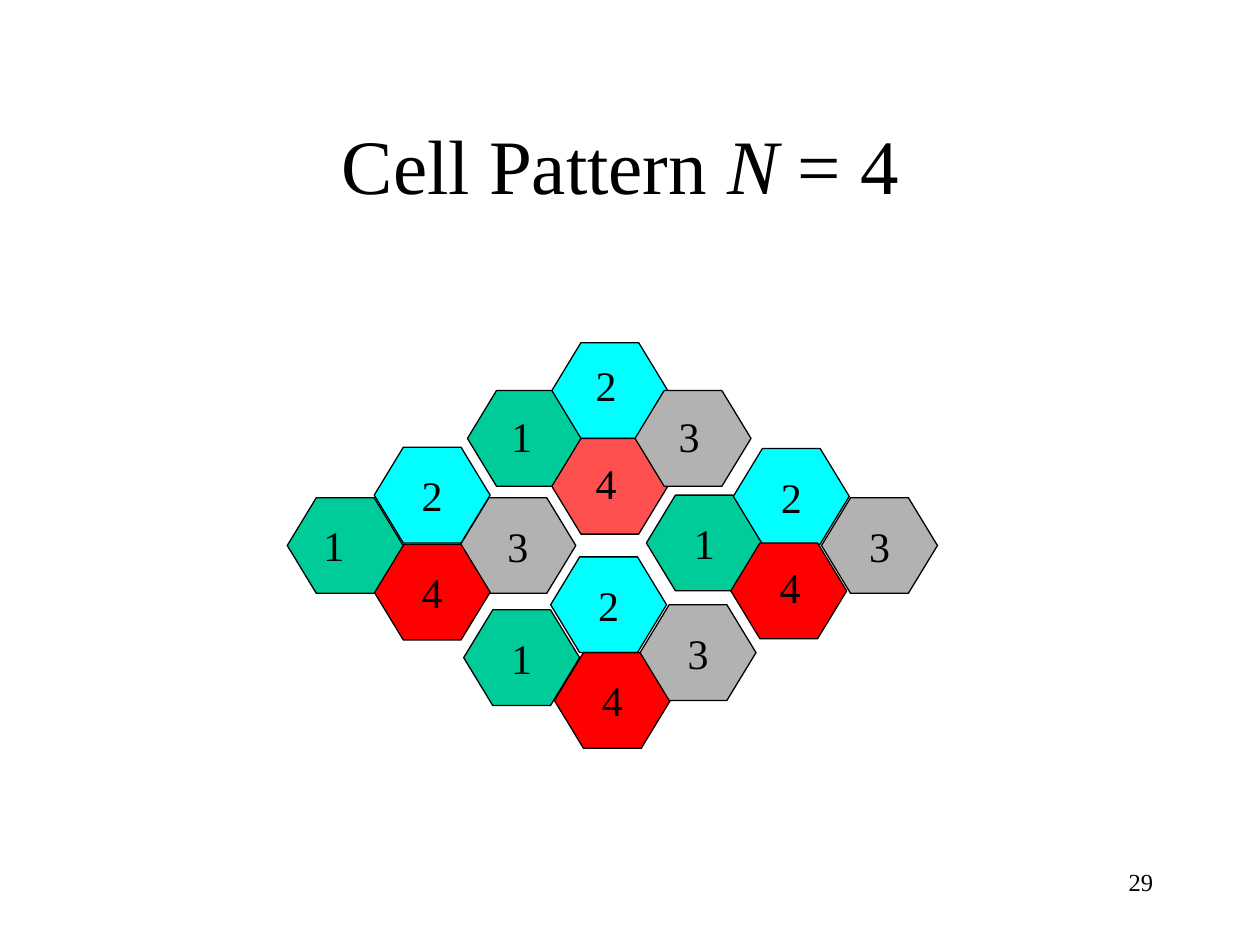
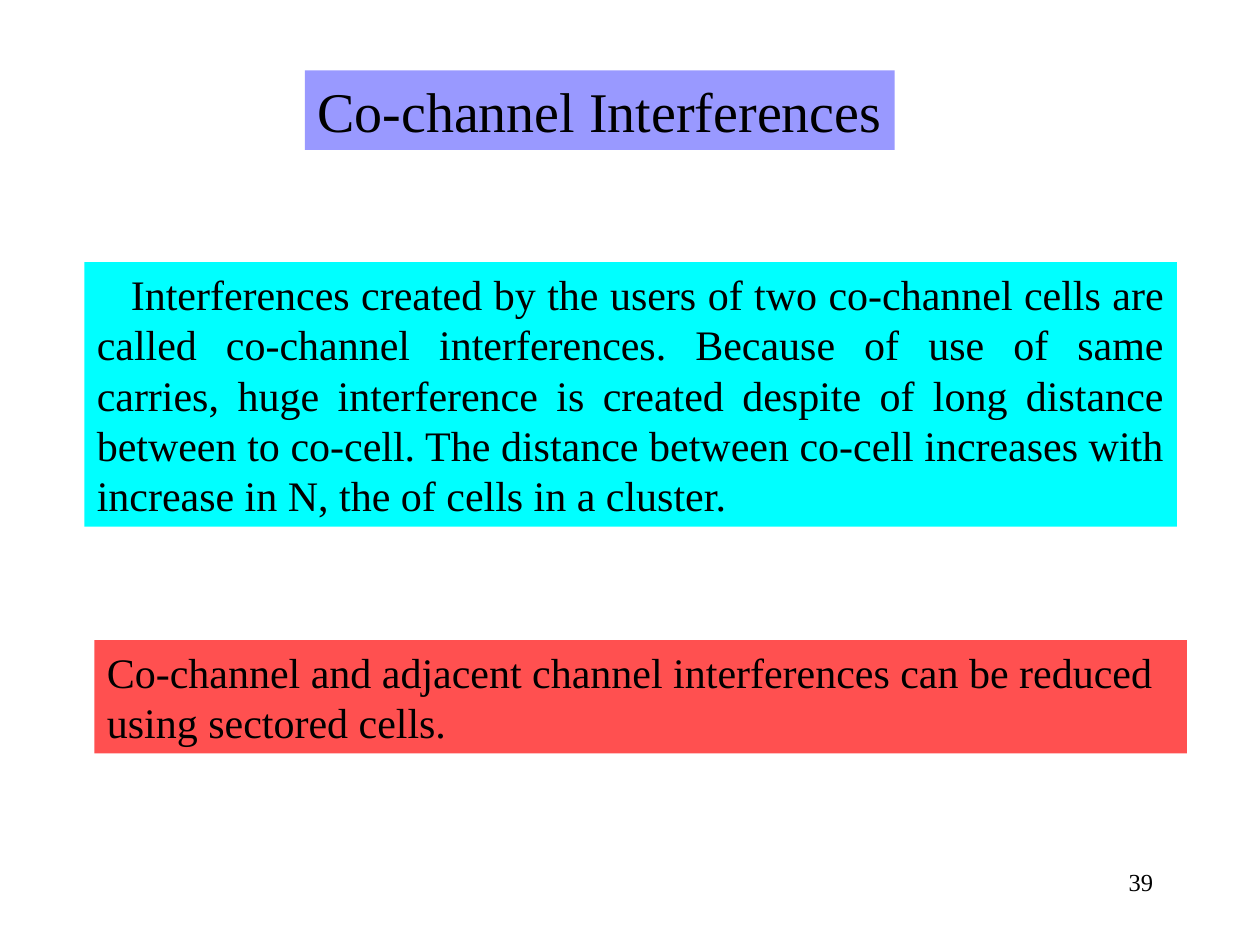
from pptx import Presentation
from pptx.dml.color import RGBColor
from pptx.enum.shapes import MSO_SHAPE
from pptx.enum.text import MSO_ANCHOR, PP_ALIGN
from pptx.util import Inches, Pt

W, H = 10, 7.5
FONT = "Times New Roman"
COLORS = {"black": "000000", "green": "00CC99", "cyan": "00FFFF", "gray": "B2B2B2",
          "red": "FF0000", "coral": "FF5050", "violet": "9999FF"}
CELL_W, CELL_H = 0.92, 0.76
CELL_FILL = {"1": "green", "2": "cyan", "3": "gray", "4": "red"}

PATTERN_TITLE = [("Cell Pattern ", False), ("N", True), (" = 4 ", False)]
CLUSTERS = {
    "top": [("1", 3.71, 3.1), ("2", 4.38, 2.72), ("4", 4.38, 3.48), ("3", 5.04, 3.1)],
    "bottom": [("2", 4.37, 4.42), ("1", 3.68, 4.84), ("4", 4.4, 5.18), ("3", 5.08, 4.8)],
    "right": [("1", 5.13, 3.93), ("2", 5.82, 3.56), ("4", 5.8, 4.31), ("3", 6.52, 3.95)],
    "left": [("3", 3.65, 3.95), ("2", 2.97, 3.55), ("4", 2.97, 4.32), ("1", 2.28, 3.95)],
}
LABEL_SHIFT = {
    ("top", "1"): (-0.03, -0.02), ("top", "2"): (-0.03, -0.05),
    ("top", "3"): (-0.03, -0.02), ("top", "4"): (-0.03, -0.03),
    ("left", "1"): (-0.09, -0.01), ("left", "4"): (0, 0),
    ("right", "4"): (0.01, -0.03), ("bottom", "4"): (0, -0.01),
}
PANELS = [
    ("Co-channel Interferences", (2.42, 0.56, 4.68, 0.63), "violet", 32, PP_ALIGN.LEFT, 0, False),
    ("Interferences created by the users of two co-channel cells are called co-channel "
     "interferences. Because of use of same carries, huge interference is created despite "
     "of long distance between to co-cell. The distance between co-cell increases with "
     "increase in N, the of cells in a cluster.",
     (0.67, 2.08, 8.67, 2.1), "cyan", 24, PP_ALIGN.JUSTIFY, 0.27, True),
    ("Co-channel and adjacent channel interferences can be reduced using sectored cells.",
     (0.75, 5.08, 8.67, 0.9), "coral", 24, PP_ALIGN.LEFT, 0, True),
]


def rgb(name):
    return RGBColor.from_string(COLORS[name])


def write(sp, runs, size, align, anchor=MSO_ANCHOR.TOP, wrap=True):
    tf = sp.text_frame
    tf.word_wrap = wrap
    tf.vertical_anchor = anchor
    p = tf.paragraphs[0]
    p.alignment = align
    for text, italic in runs:
        r = p.add_run()
        r.text = text
        r.font.name, r.font.size, r.font.italic = FONT, Pt(size), italic
        r.font.color.rgb = rgb("black")
    return p


def add_text(s, box, runs, size, align, anchor=MSO_ANCHOR.TOP, wrap=True):
    sp = s.shapes.add_textbox(*map(Inches, box))
    write(sp, runs, size, align, anchor, wrap)


def add_block(s, kind, box, fill):
    sp = s.shapes.add_shape(kind, *map(Inches, box))
    sp.shadow.inherit = False
    sp.fill.solid()
    sp.fill.fore_color.rgb = rgb(fill)
    sp.line.fill.background()
    return sp


def add_cell(s, cluster, number, x, y):
    fill = "coral" if (cluster, number) == ("top", "4") else CELL_FILL[number]
    sp = add_block(s, MSO_SHAPE.HEXAGON, (x, y, CELL_W, CELL_H), fill)
    sp.adjustments[0] = 0.304
    sp.line.color.rgb = rgb("black")
    sp.line.width = Pt(0.75)
    label = [(number, False)], 24, PP_ALIGN.CENTER, MSO_ANCHOR.MIDDLE, False
    shift = LABEL_SHIFT.get((cluster, number))
    if shift:
        add_text(s, (x + shift[0], y + shift[1], CELL_W, CELL_H), *label)
    else:
        write(sp, *label)


def add_slide(prs, number):
    s = prs.slides.add_slide(prs.slide_layouts[6])
    add_text(s, (7.17, 6.83, 2.08, 0.5), [(number, False)], 14, PP_ALIGN.RIGHT)
    return s


def main():
    """Build the cell pattern and co-channel interference slides."""
    prs = Presentation()
    prs.slide_width, prs.slide_height = Inches(W), Inches(H)

    s = add_slide(prs, "29")
    add_text(s, (0.75, 0.67, W - 1.5, 1.25), PATTERN_TITLE, 44, PP_ALIGN.CENTER, MSO_ANCHOR.MIDDLE)
    for cluster, cells in CLUSTERS.items():
        for cell in cells:
            add_cell(s, cluster, *cell)

    s = add_slide(prs, "39")
    for text, box, fill, size, align, indent, wrap in PANELS:
        sp = add_block(s, MSO_SHAPE.RECTANGLE, box, fill)
        p = write(sp, [(text, False)], size, align, wrap=wrap)
        if indent:
            p._p.get_or_add_pPr().set("indent", str(Inches(indent)))

    prs.save("out.pptx")


if __name__ == "__main__":
    main()
